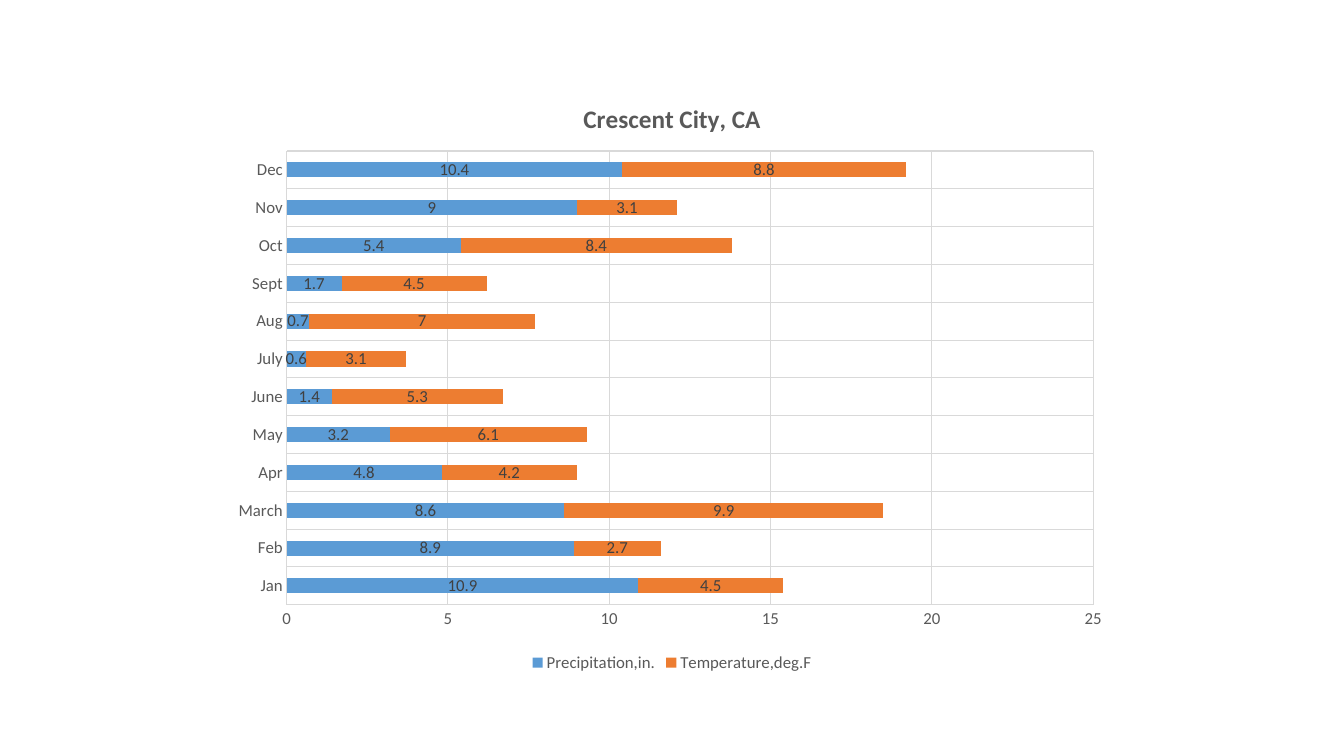
from pptx import Presentation
from pptx.chart.data import CategoryChartData
from pptx.dml.color import RGBColor
from pptx.enum.chart import XL_CHART_TYPE, XL_LABEL_POSITION, XL_LEGEND_POSITION, XL_TICK_MARK
from pptx.oxml import parse_xml
from pptx.oxml.ns import nsdecls, qn
from pptx.util import Inches, Pt

GREY, GRID, LABEL = "595959", "D9D9D9", "404040"
MONTHS = ["Jan", "Feb", "March", "Apr", "May", "June",
          "July", "Aug", "Sept", "Oct", "Nov", "Dec"]
SERIES = {
    "Precipitation,in.": ("5B9BD5", [10.9, 8.9, 8.6, 4.8, 3.2, 1.4, 0.6, 0.7, 1.7, 5.4, 9, 10.4]),
    "Temperature,deg.F": ("ED7D31", [4.5, 2.7, 9.9, 4.2, 6.1, 5.3, 3.1, 7, 4.5, 8.4, 3.1, 8.8]),
}
PLOT_SHARES = {"x": 0.07, "y": 0.12, "w": 0.9, "h": 0.76}


def style_font(font, color, size=12, bold=False):
    for name, value in {"name": "Calibri", "size": Pt(size), "bold": bold}.items():
        setattr(font, name, value)
    font.color.rgb = RGBColor.from_string(color)


def style_line(line, color):
    line.color.rgb = RGBColor.from_string(color)
    line.width = Pt(0.75)


deck = Presentation()
deck.slide_width, deck.slide_height = Inches(13.33), Inches(7.5)
page = deck.slides.add_slide(deck.slide_layouts[6])

# The chart fills two thirds of the width and is centred on the page
data = CategoryChartData()
data.categories = MONTHS
for name, (color, values) in SERIES.items():
    data.add_series(name, values)
width, height = int(deck.slide_width * 2 / 3), int(deck.slide_height * 0.79)
left, top = (deck.slide_width - width) // 2, (deck.slide_height - height) // 2
chart = page.shapes.add_chart(
    XL_CHART_TYPE.BAR_STACKED, left, top, width, height, data).chart
style_font(chart.font, GREY)

# Title and legend
chart.has_title = True
chart.chart_title.include_in_layout = False
title = chart.chart_title.text_frame
title.text = "Crescent City, CA"
style_font(title.paragraphs[0].runs[0].font, GREY, 18, True)
chart.has_legend = True
chart.legend.position = XL_LEGEND_POSITION.BOTTOM
chart.legend.include_in_layout = False
style_font(chart.legend.font, GREY)

# Axes
for axis in (chart.category_axis, chart.value_axis):
    axis.major_tick_mark = axis.minor_tick_mark = XL_TICK_MARK.NONE
    axis.has_major_gridlines = True
    style_line(axis.major_gridlines.format.line, GRID)
    style_font(axis.tick_labels.font, GREY)
style_line(chart.category_axis.format.line, GRID)
chart.value_axis.format.line.fill.background()
for name, value in {"minimum_scale": 0, "maximum_scale": 25, "major_unit": 5}.items():
    setattr(chart.value_axis, name, value)

# Bars and their values
plot = chart.plots[0]
for name, value in {"gap_width": 150, "overlap": 100, "vary_by_categories": False}.items():
    setattr(plot, name, value)
for series, (color, values) in zip(plot.series, SERIES.values()):
    series.format.fill.solid()
    series.format.fill.fore_color.rgb = RGBColor.from_string(color)
    labels = series.data_labels
    labels.show_value = True
    labels.position = XL_LABEL_POSITION.CENTER
    style_font(labels.font, LABEL)

# Plot area as shares of the chart
plot_area = chart.element.find(".//" + qn("c:plotArea"))
for layout in plot_area.findall(qn("c:layout")):
    plot_area.remove(layout)
modes = "".join(f'<c:{side}Mode val="edge"/>' for side in "xy")
shares = "".join(f'<c:{side} val="{share}"/>' for side, share in PLOT_SHARES.items())
plot_area.insert(0, parse_xml(
    f'<c:layout {nsdecls("c")}><c:manualLayout><c:layoutTarget val="inner"/>'
    f'{modes}{shares}</c:manualLayout></c:layout>'))

deck.save("out.pptx")
